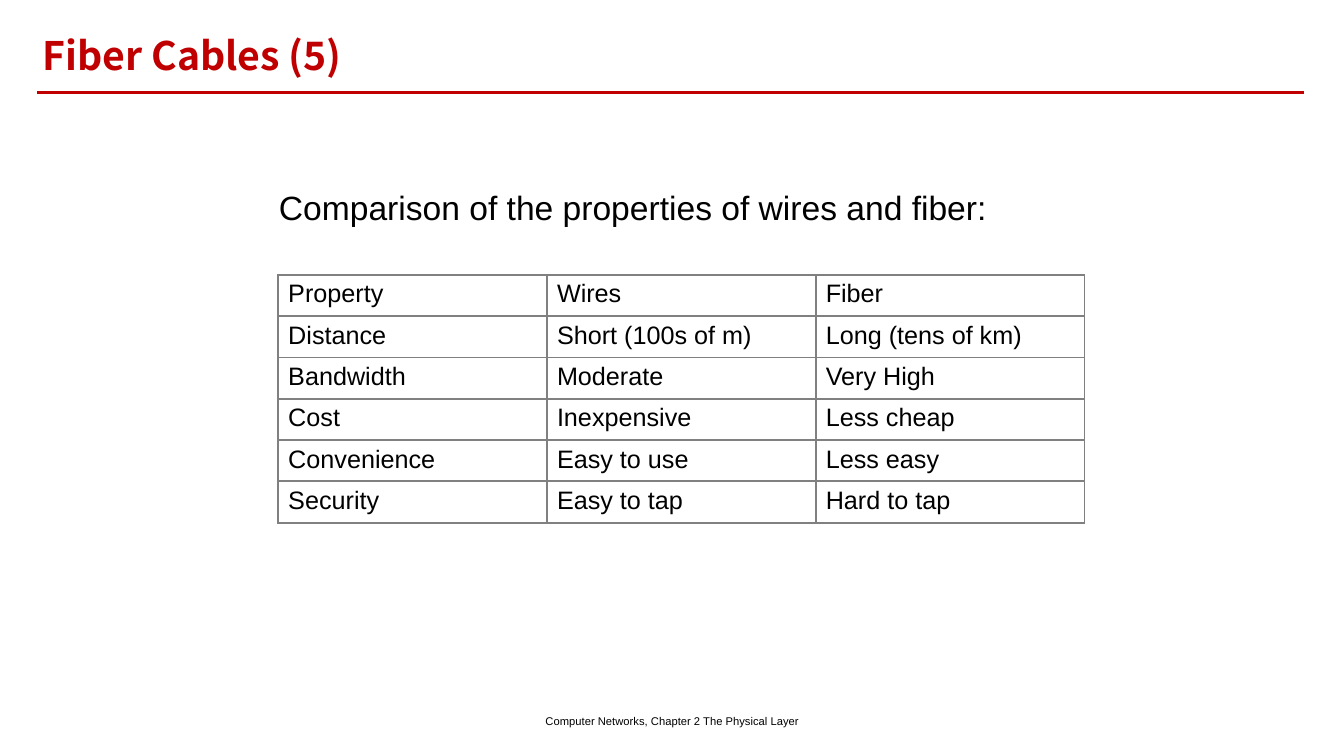
from lxml import etree
from pptx import Presentation
from pptx.dml.color import RGBColor
from pptx.enum.shapes import MSO_CONNECTOR
from pptx.enum.text import MSO_ANCHOR as ANCHOR, PP_ALIGN as ALIGN
from pptx.oxml.ns import qn
from pptx.util import Cm, Pt

RED = RGBColor(0xC0, 0x00, 0x00)
BLACK = RGBColor(0x00, 0x00, 0x00)
WHITE = RGBColor(0xFF, 0xFF, 0xFF)
GRAY = RGBColor(0x80, 0x80, 0x80)

ROWS = [
    ("Property", "Wires", "Fiber"),
    ("Distance", "Short (100s of m)", "Long (tens of km)"),
    ("Bandwidth", "Moderate", "Very High"),
    ("Cost", "Inexpensive", "Less cheap"),
    ("Convenience", "Easy to use", "Less easy"),
    ("Security", "Easy to tap", "Hard to tap"),
]


def write(tf, text, size, color=BLACK, font="Arial", align=ALIGN.LEFT):
    tf.text = text
    tf.word_wrap = True
    p = tf.paragraphs[0]
    p.alignment = align
    r = p.runs[0]
    r.font.name, r.font.size, r.font.color.rgb = font, Pt(size), color
    return p


def set_borders(cell, color, width):
    tcPr = cell._tc.get_or_add_tcPr()
    for side in ("lnL", "lnR", "lnT", "lnB"):
        ln = etree.SubElement(tcPr, qn(f"a:{side}"), w=str(Pt(width)))
        fill = etree.SubElement(ln, qn("a:solidFill"))
        etree.SubElement(fill, qn("a:srgbClr"), val=str(color))


prs = Presentation()
prs.slide_width, prs.slide_height = Cm(33.87), Cm(19.05)
s = prs.slides.add_slide(prs.slide_layouts[5])

# Rule under the title
line = s.shapes.add_connector(MSO_CONNECTOR.STRAIGHT, Cm(0.94), Cm(2.33), Cm(32.85), Cm(2.33))
line.line.color.rgb = RED
line.line.width = Pt(1.5)
etree.SubElement(line._element.spPr, qn("a:effectLst"))

# Title
title = s.shapes.title
title.left, title.top, title.width, title.height = Cm(0.82), Cm(0.78), Cm(31.07), Cm(1.35)
title.fill.solid()
title.fill.fore_color.rgb = WHITE
tf = title.text_frame
p = write(tf, "Fiber Cables (5)", 28, RED, "Noto Sans CJK SC")
tf.vertical_anchor = ANCHOR.MIDDLE
p.line_spacing = 0.9
p.runs[0].font.bold = True

# Introductory sentence
tf = s.shapes.add_textbox(Cm(6.78), Cm(4.47), Cm(21.64), Cm(12.78)).text_frame
write(tf, "Comparison of the properties of wires and fiber:", 24)
tf.margin_top = Cm(0.23)

# Footer
tf = s.shapes.add_textbox(Cm(11.23), Cm(17.65), Cm(11.43), Cm(1.02)).text_frame
write(tf, "Computer Networks, Chapter 2 The Physical Layer", 8, align=ALIGN.CENTER)
tf.vertical_anchor = ANCHOR.MIDDLE

# Comparison table
frame = s.shapes.add_table(len(ROWS), len(ROWS[0]), Cm(7.01), Cm(6.93), Cm(20.32), Cm(6.24))
table = frame.table
table.first_row = table.horz_banding = False
for i, row in enumerate(ROWS):
    for j, text in enumerate(row):
        cell = table.cell(i, j)
        write(cell.text_frame, text, 18)
        set_borders(cell, GRAY, 1.5)
        cell.fill.solid()
        cell.fill.fore_color.rgb = WHITE

prs.save("out.pptx")
